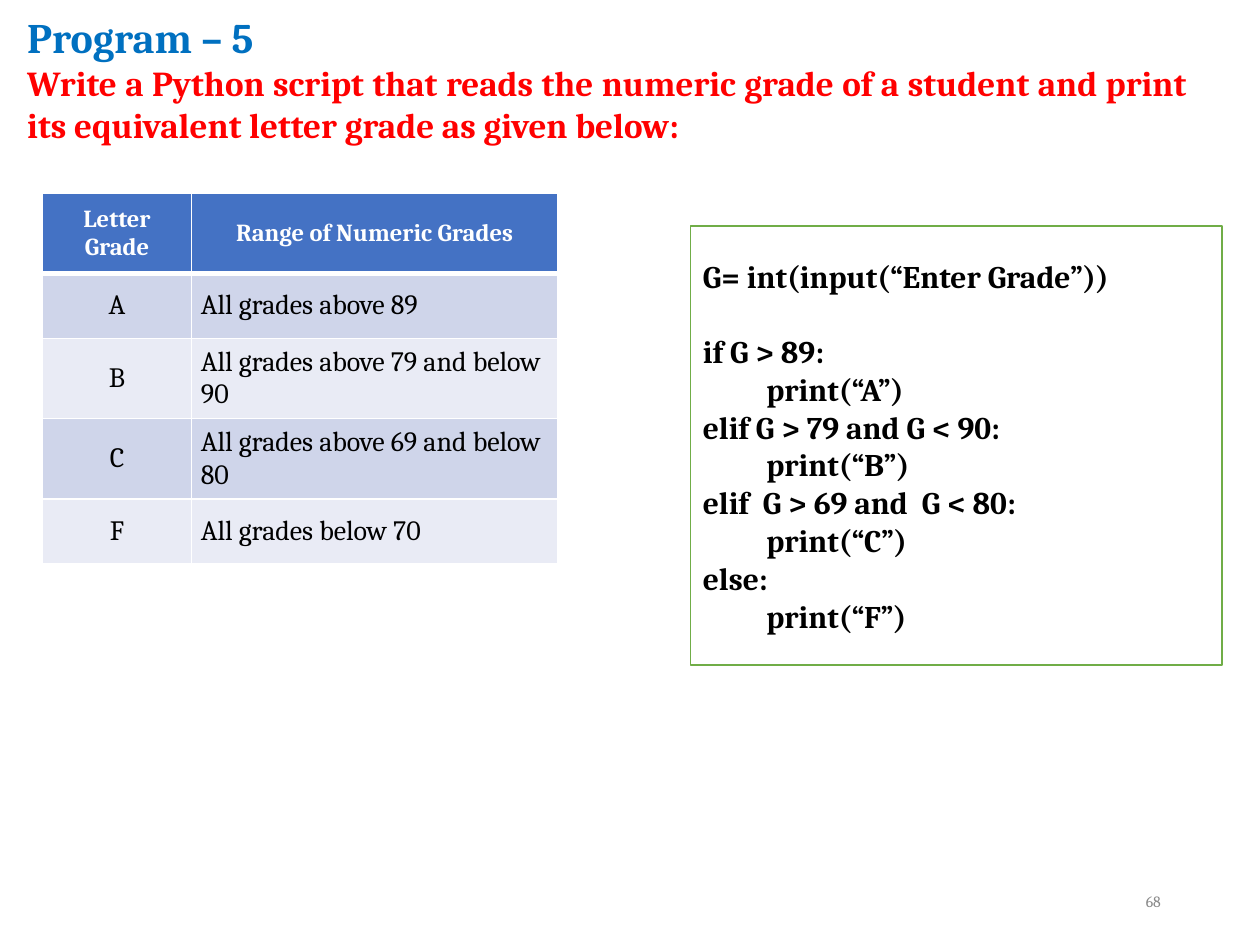
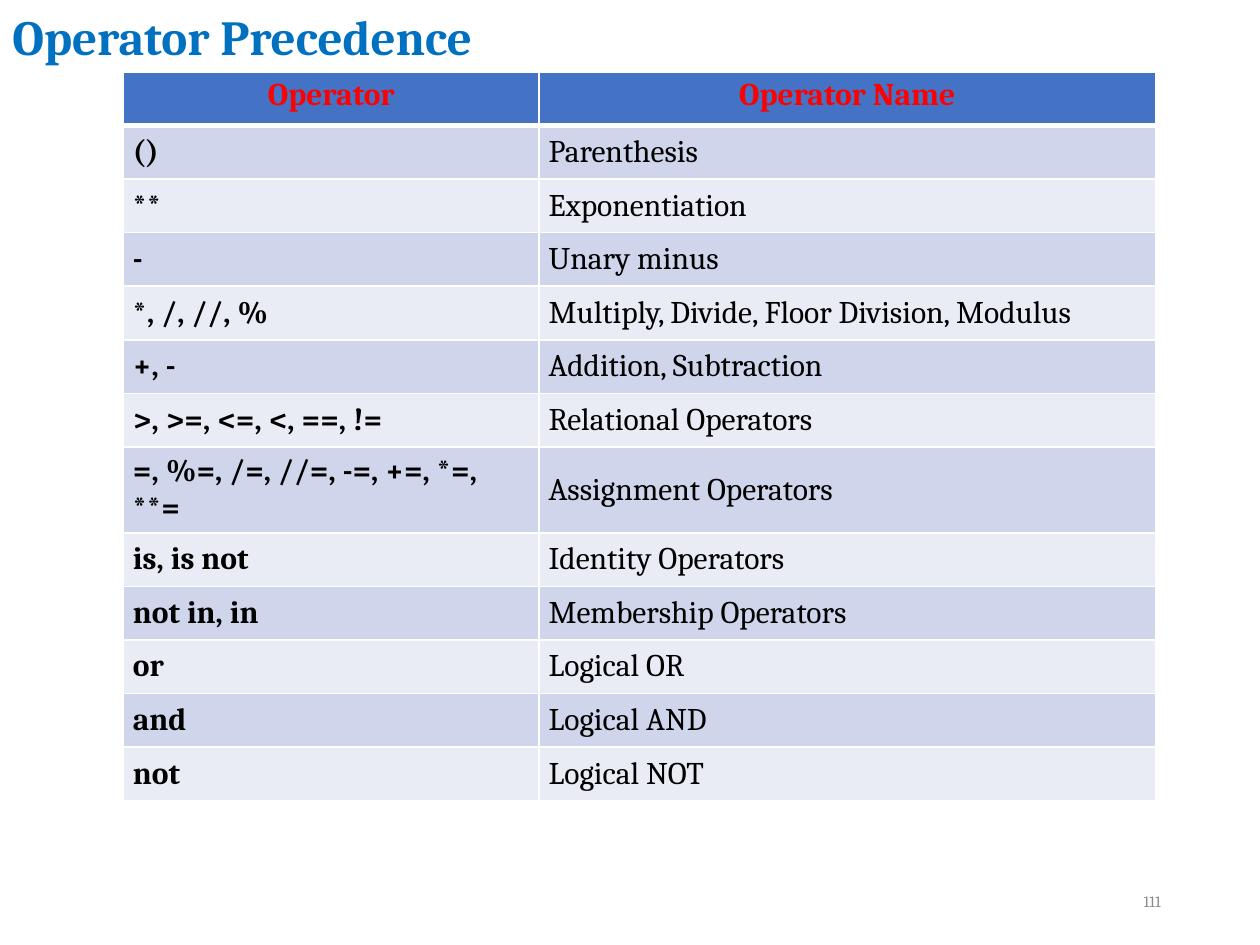
"""Two teaching slides: a grading program and the operator precedence table."""
from dataclasses import dataclass

from lxml import etree
from pptx import Presentation
from pptx import util as u
from pptx.dml.color import RGBColor
from pptx.enum import shapes, text
from pptx.oxml import ns

LEFT, CENTER = text.PP_ALIGN.LEFT, text.PP_ALIGN.CENTER
RIGHT, JUSTIFY = text.PP_ALIGN.RIGHT, text.PP_ALIGN.JUSTIFY
TOP, MIDDLE = text.MSO_ANCHOR.TOP, text.MSO_ANCHOR.MIDDLE


@dataclass(frozen=True)
class Theme:
    """Colours, font, type sizes (points) and line widths (points)."""
    font: str = "Cambria"
    title: str = "0070C0"
    accent: str = "FF0000"
    ink: str = "000000"
    paper: str = "FFFFFF"
    muted: str = "898989"
    frame: str = "70AD47"
    header: str = "4472C4"
    bands: tuple = ("CFD5EA", "E9EBF5")
    number_size: int = 9
    table_head_size: int = 14
    table_size: int = 16
    body_size: int = 18
    task_size: int = 20
    program_size: int = 24
    title_size: int = 28
    thin: float = 1
    thick: float = 3


THEME = Theme()


@dataclass(frozen=True)
class Place:
    """A rectangle on the page, in centimetres."""
    left: float
    top: float
    width: float
    height: float

    def lengths(self) -> tuple:
        """Return the four lengths as python-pptx values."""
        return tuple(map(u.Cm, (self.left, self.top, self.width, self.height)))


@dataclass(frozen=True)
class ColumnStyle:
    """Width in centimetres and body text format of a table column."""
    width: float
    align: text.PP_ALIGN = LEFT
    bold: bool = False


@dataclass(frozen=True)
class TableStyle:
    """Position, sizes and header format of a table."""
    left: float
    top: float
    columns: tuple
    row_heights: tuple
    size: int
    head_size: int
    head_color: str
    head_anchor: text.MSO_ANCHOR


NUMBER_PLACE = Place(17.93, 17.65, 5.72, 1.02)


def write(frame, words: str, *, size: float, color: str = THEME.ink,
          bold: bool = False, align=LEFT, indent: float = 0, before: float = 0) -> None:
    """Write one paragraph, using the empty first paragraph if there is one."""
    para = frame.paragraphs[0]
    if para.runs:
        para = frame.add_paragraph()
    para.alignment = align
    para.space_before = u.Pt(before)
    if indent:
        para._p.get_or_add_pPr().set("marL", str(u.Cm(indent)))
    span = para.add_run()
    span.text = words
    span.font.name = THEME.font
    span.font.size = u.Pt(size)
    span.font.bold = bold
    span.font.color.rgb = RGBColor.from_string(color)


def add_text_box(page, place: Place, anchor=TOP, grow: bool = False):
    """Add a wrapping text box and return its text frame."""
    frame = page.shapes.add_textbox(*place.lengths()).text_frame
    frame.word_wrap = True
    frame.vertical_anchor = anchor
    if grow:
        frame.auto_size = text.MSO_AUTO_SIZE.SHAPE_TO_FIT_TEXT
    return frame


def add_page(deck, number: int):
    """Add a blank page with its page number."""
    page = deck.slides.add_slide(deck.slide_layouts[6])
    frame = add_text_box(page, NUMBER_PLACE, MIDDLE)
    write(frame, str(number), size=THEME.number_size, color=THEME.muted, align=RIGHT)
    return page


def set_borders(cell, top: float, bottom: float) -> None:
    """Draw paper-coloured borders; call before the fill is set."""
    properties = cell._tc.get_or_add_tcPr()
    sides = {"lnL": THEME.thin, "lnR": THEME.thin, "lnT": top, "lnB": bottom}
    for side, width in sides.items():
        line = etree.SubElement(properties, ns.qn(f"a:{side}"), w=str(u.Pt(width)))
        fill = etree.SubElement(line, ns.qn("a:solidFill"))
        etree.SubElement(fill, ns.qn("a:srgbClr"), val=THEME.paper)


def add_table(page, rows: tuple, style: TableStyle) -> None:
    """Add a table with a header row and banded body rows."""
    place = Place(style.left, style.top, sum(column.width for column in style.columns),
                  sum(style.row_heights))
    table = page.shapes.add_table(len(rows), len(style.columns), *place.lengths()).table
    table.first_row = table.horz_banding = False
    for column, column_style in zip(table.columns, style.columns):
        column.width = u.Cm(column_style.width)
    for i, (row, height, words) in enumerate(zip(table.rows, style.row_heights, rows)):
        row.height = u.Cm(height)
        head = i == 0
        for cell, column_style, label in zip(row.cells, style.columns, words):
            set_borders(cell, top=THEME.thick if i == 1 else THEME.thin,
                        bottom=THEME.thick if head else THEME.thin)
            cell.fill.solid()
            cell.fill.fore_color.rgb = RGBColor.from_string(
                THEME.header if head else THEME.bands[(i - 1) % 2])
            cell.margin_left = cell.margin_right = u.Cm(0.19)
            cell.margin_top = cell.margin_bottom = u.Cm(0.1)
            cell.vertical_anchor = style.head_anchor if head else MIDDLE
            if head:
                write(cell.text_frame, label, size=style.head_size,
                      color=style.head_color, bold=True, align=CENTER)
            else:
                write(cell.text_frame, label, size=style.size,
                      bold=column_style.bold, align=column_style.align)


def add_code_box(page, place: Place, code: tuple) -> None:
    """Add a framed listing; each line is (indent level, space before, words)."""
    box = page.shapes.add_shape(shapes.MSO_SHAPE.RECTANGLE, *place.lengths())
    box.shadow.inherit = False
    box.fill.solid()
    box.fill.fore_color.rgb = RGBColor.from_string(THEME.paper)
    box.line.color.rgb = RGBColor.from_string(THEME.frame)
    box.line.width = u.Pt(THEME.thin)
    frame = box.text_frame
    frame.word_wrap = True
    frame.vertical_anchor = MIDDLE
    for level, before, words in code:
        write(frame, words, size=THEME.body_size, bold=True,
              indent=1.28 * level, before=before)


GRADES = (
    ("Letter Grade", "Range of Numeric Grades"),
    ("A", "All grades above 89"),
    ("B", "All grades above 79 and below 90"),
    ("C", "All grades above 69 and below 80"),
    ("F", "All grades below 70"),
)
GRADE_STYLE = TableStyle(
    left=0.86, top=3.89,
    columns=(ColumnStyle(3, CENTER), ColumnStyle(7.39)),
    row_heights=(1.62, 1.31, 1.62, 1.62, 1.31),
    size=THEME.table_size, head_size=THEME.table_head_size,
    head_color=THEME.paper, head_anchor=MIDDLE,
)
GRADE_CODE = (
    (0, 0, "G= int(input(“Enter Grade”))"),
    (0, 21.5, "if G > 89:"),
    (1, 0, "print(“A”)"),
    (0, 0, "elif G > 79 and G < 90:"),
    (1, 0, "print(“B”)"),
    (0, 0, "elif  G > 69 and  G < 80:"),
    (1, 0, "print(“C”)"),
    (0, 0, "else:"),
    (1, 0, "print(“F”)"),
)

OPERATORS = (
    ("Operator", "Operator Name"),
    ("()", "Parenthesis"),
    ("**", "Exponentiation"),
    ("-", "Unary minus"),
    ("*, /, //, %", "Multiply, Divide, Floor Division, Modulus"),
    ("+, -", "Addition, Subtraction"),
    (">, >=, <=, <, ==, !=", "Relational Operators"),
    ("=, %=, /=, //=, -=, +=, *=, **=", "Assignment Operators"),
    ("is, is not", "Identity Operators"),
    ("not in, in", "Membership Operators"),
    ("or", "Logical OR"),
    ("and", "Logical AND"),
    ("not", "Logical NOT"),
)
OPERATOR_STYLE = TableStyle(
    left=2.49, top=1.45,
    columns=(ColumnStyle(8.38, bold=True), ColumnStyle(12.42)),
    row_heights=(1.08,) * 7 + (1.73,) + (1.08,) * 5,
    size=THEME.body_size, head_size=THEME.body_size,
    head_color=THEME.accent, head_anchor=TOP,
)


def build_grade_page(deck) -> None:
    """Build the page with the grading task, its table and its program."""
    page = add_page(deck, 68)
    add_table(page, GRADES, GRADE_STYLE)
    frame = add_text_box(page, Place(0.3, 0.1, 23.9, 3), grow=True)
    write(frame, "Program – 5", size=THEME.program_size, color=THEME.title,
          bold=True, align=JUSTIFY)
    write(frame, "Write a Python script that reads the numeric grade of a student "
          "and print its equivalent letter grade as given below:",
          size=THEME.task_size, color=THEME.accent, bold=True, align=JUSTIFY)
    add_code_box(page, Place(13.92, 4.55, 10.72, 8.86), GRADE_CODE)


def build_operator_page(deck) -> None:
    """Build the page with the operator precedence table."""
    page = add_page(deck, 111)
    frame = add_text_box(page, Place(0, 0, 15.04, 1.45), grow=True)
    write(frame, "Operator Precedence", size=THEME.title_size,
          color=THEME.title, bold=True)
    add_table(page, OPERATORS, OPERATOR_STYLE)


def main() -> None:
    """Build and save the deck."""
    deck = Presentation()
    deck.slide_width, deck.slide_height = u.Cm(25.4), u.Cm(19.05)
    build_grade_page(deck)
    build_operator_page(deck)
    deck.save("out.pptx")


main()
